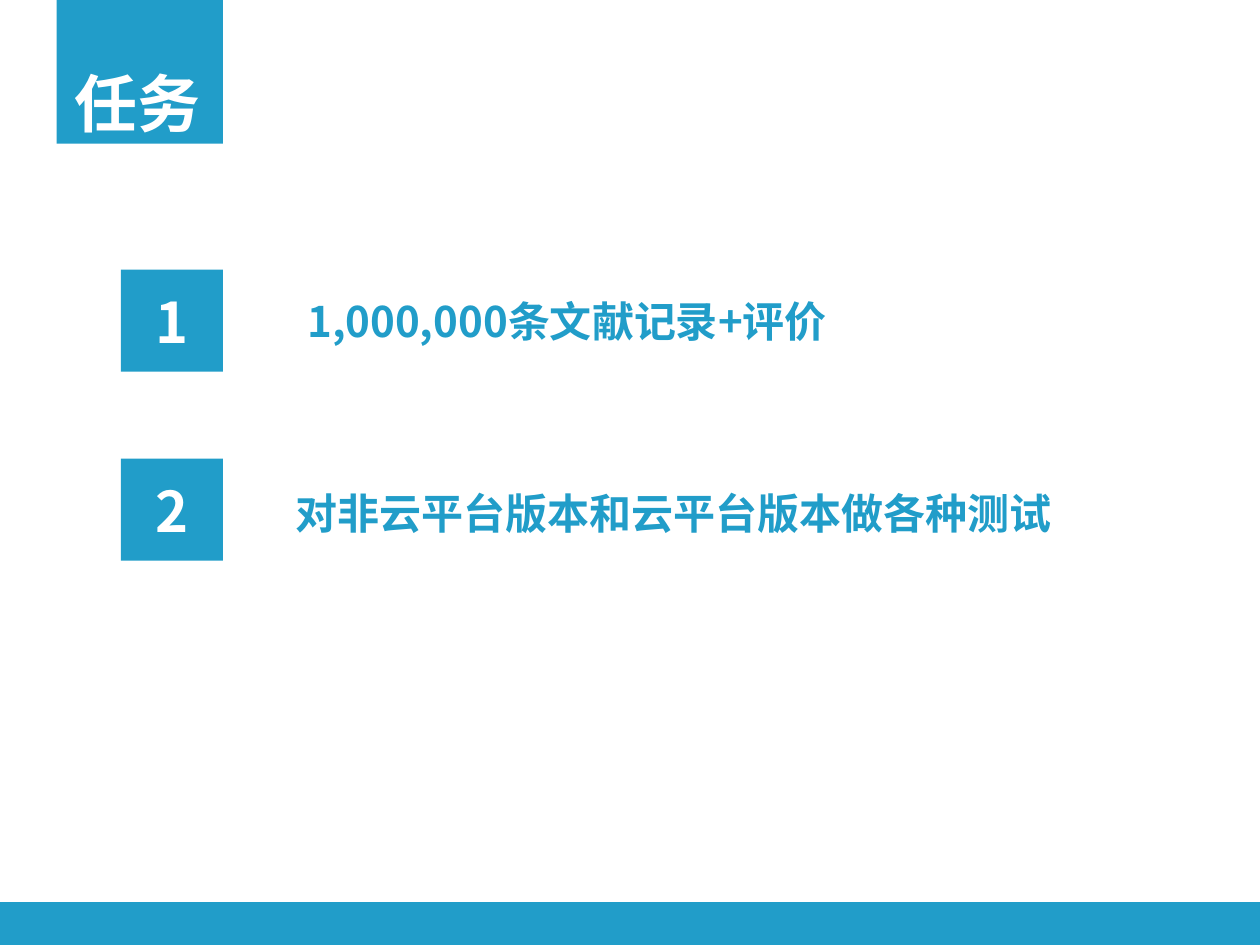
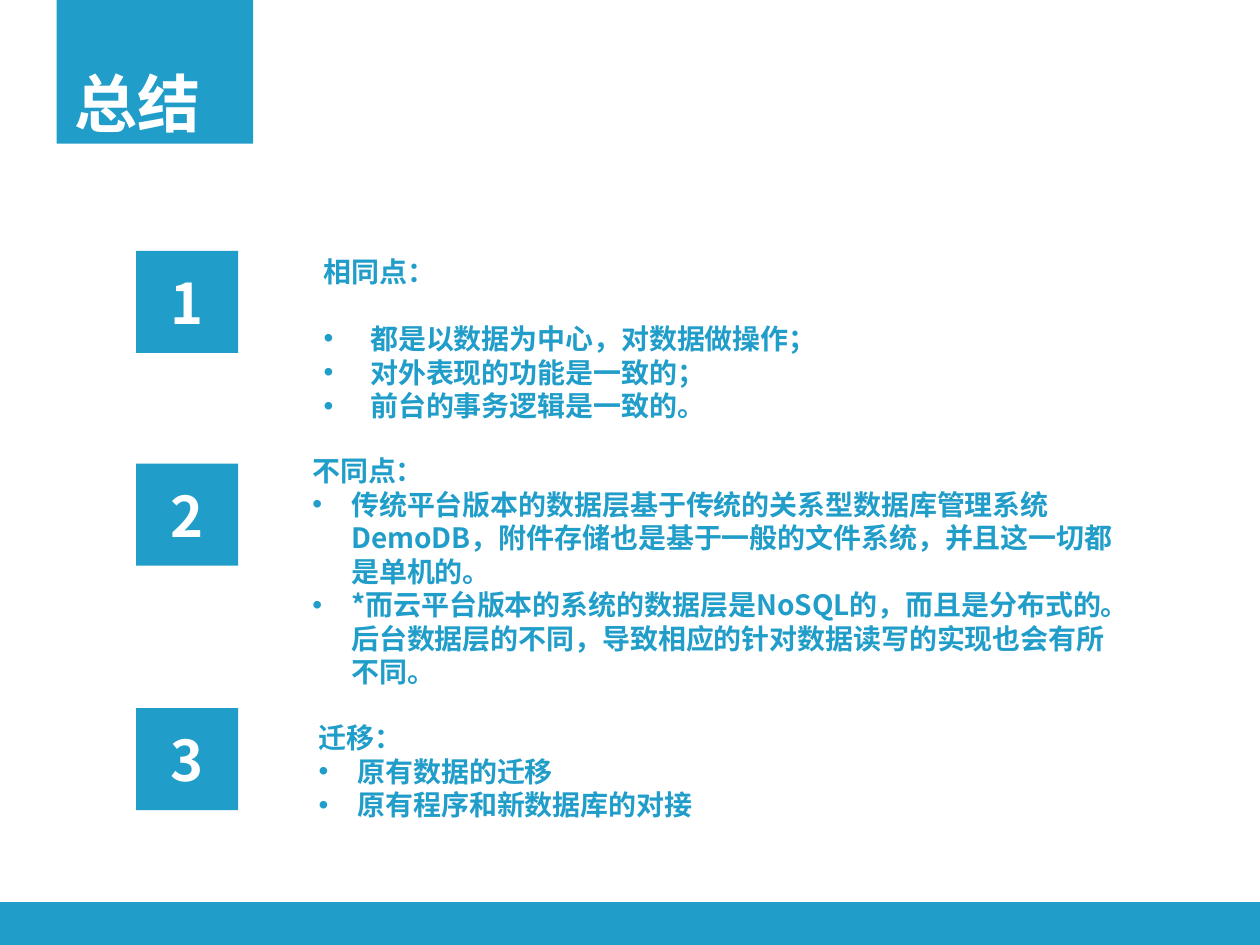
from dataclasses import dataclass
from typing import Any

from lxml import etree
from pptx import Presentation
from pptx.dml.color import RGBColor
from pptx.enum.shapes import MSO_SHAPE
from pptx.enum.text import MSO_ANCHOR, MSO_AUTO_SIZE, PP_ALIGN
from pptx.oxml.ns import qn
from pptx.util import Inches, Pt

BLUE = RGBColor(0x21, 0x9D, 0xC9)
WHITE = RGBColor(0xFF, 0xFF, 0xFF)
FONT = "Noto Sans CJK SC"
RECTANGLE = MSO_SHAPE.RECTANGLE
TOP, MIDDLE = MSO_ANCHOR.TOP, MSO_ANCHOR.MIDDLE
LEFT, CENTER = PP_ALIGN.LEFT, PP_ALIGN.CENTER
NO_AUTOFIT = MSO_AUTO_SIZE.NONE

SLIDE_WIDTH, SLIDE_HEIGHT = Inches(10), Inches(7.5)
COLUMNS, ROWS = 100, 75
COLUMN, ROW = SLIDE_WIDTH / COLUMNS, SLIDE_HEIGHT / ROWS

BADGE_SIDE = 8.1
FOOTER_TOP = 71.6
TAB_LEFT, TAB_HEIGHT = 4.5, 11.4
TITLE_INSETS = {
    "margin_left": round(1.4 * COLUMN),
    "margin_top": round(5.1 * ROW),
    "margin_right": 0,
    "margin_bottom": 0,
}
BULLET_HANG = 3.1


@dataclass(frozen=True)
class Area:
    column: float
    row: float
    columns: float
    rows: float

    def frame(self) -> dict[str, int]:
        return {
            "left": round(self.column * COLUMN),
            "top": round(self.row * ROW),
            "width": round(self.columns * COLUMN),
            "height": round(self.rows * ROW),
        }


@dataclass(frozen=True)
class Point:
    badge_row: float
    area: Area
    heading: str
    details: tuple[str, ...] = ()
    hang: float = BULLET_HANG
    heading_gap: float = 0


@dataclass(frozen=True)
class Topic:
    title: str
    tab_columns: float
    badge_column: float
    text_size: int
    points: tuple[Point, ...]


TOPICS = (
    Topic("任务", 13.2, 9.6, 24, (
        Point(21.4, Area(23.4, 23, 65.2, 5), "1,000,000条文献记录+评价"),
        Point(36.4, Area(22.5, 38.2, 69.7, 5), "对非云平台版本和云平台版本做各种测试"),
    )),
    Topic("总结", 15.6, 10.8, 16, (
        Point(19.9, Area(24.7, 19.7, 60.8, 14.5), "相同点：", (
            "都是以数据为中心，对数据做操作；",
            "对外表现的功能是一致的；",
            "前台的事务逻辑是一致的。",
        ), hang=3.7, heading_gap=19.2),
        Point(36.8, Area(23.8, 35.5, 66.2, 19.9), "不同点：", (
            "传统平台版本的数据层基于传统的关系型数据库管理系统"
            "DemoDB，附件存储也是基于一般的文件系统，并且这一切都是单机的。",
            "*而云平台版本的系统的数据层是NoSQL的，而且是分布式的。"
            "后台数据层的不同，导致相应的针对数据读写的实现也会有所不同。",
        )),
        Point(56.2, Area(24.3, 56.7, 63.6, 9.4), "迁移：", (
            "原有数据的迁移",
            "原有程序和新数据库的对接",
        )),
    )),
)


def apply(target: Any, values: dict[str, Any]) -> None:
    for name, value in values.items():
        setattr(target, name, value)


def write(paragraph: Any, words: str, size: int, color: RGBColor,
          alignment: Any = LEFT) -> None:
    paragraph.alignment = alignment
    run = paragraph.add_run()
    run.text = words
    apply(run.font, {"name": FONT, "size": Pt(size), "bold": True})
    run.font.color.rgb = color
    east_asian = etree.SubElement(run.font._element, qn("a:ea"))
    east_asian.set("typeface", FONT)


def add_bullet(paragraph: Any, hang: float) -> None:
    properties = paragraph._p.get_or_add_pPr()
    indent = round(hang * COLUMN)
    properties.set("marL", str(indent))
    properties.set("indent", str(-indent))
    etree.SubElement(properties, qn("a:buFont")).set("typeface", "Arial")
    etree.SubElement(properties, qn("a:buChar")).set("char", "•")


def paint(shape: Any) -> None:
    shape.fill.solid()
    shape.fill.fore_color.rgb = BLUE
    shape.line.fill.background()


def add_block(slide: Any, area: Area) -> Any:
    block = slide.shapes.add_shape(RECTANGLE, **area.frame())
    block.shadow.inherit = False
    paint(block)
    return block


def add_badge(slide: Any, number: int, column: float, row: float) -> None:
    badge = add_block(slide, Area(column, row, BADGE_SIDE, BADGE_SIDE))
    badge.text_frame.vertical_anchor = MIDDLE
    write(badge.text_frame.paragraphs[0], str(number), 32, WHITE, CENTER)


def add_point_text(slide: Any, point: Point, size: int) -> None:
    frame = slide.shapes.add_textbox(**point.area.frame()).text_frame
    frame.word_wrap = True
    heading = frame.paragraphs[0]
    write(heading, point.heading, size, BLUE)
    if point.heading_gap:
        heading.space_after = Pt(point.heading_gap)
    for detail in point.details:
        paragraph = frame.add_paragraph()
        write(paragraph, detail, size, BLUE)
        add_bullet(paragraph, point.hang)


def set_title(slide: Any, topic: Topic) -> None:
    title = slide.shapes.title
    apply(title, Area(TAB_LEFT, 0, topic.tab_columns, TAB_HEIGHT).frame())
    paint(title)
    apply(title.text_frame, {
        "auto_size": NO_AUTOFIT,
        "word_wrap": True,
        "vertical_anchor": TOP,
        **TITLE_INSETS,
    })
    write(title.text_frame.paragraphs[0], topic.title, 36, WHITE)


def add_topic(presentation: Any, topic: Topic) -> None:
    slide = presentation.slides.add_slide(presentation.slide_layouts[5])
    set_title(slide, topic)
    add_block(slide, Area(0, FOOTER_TOP, COLUMNS, ROWS - FOOTER_TOP))
    for number, point in enumerate(topic.points, start=1):
        add_badge(slide, number, topic.badge_column, point.badge_row)
        add_point_text(slide, point, topic.text_size)


def main() -> None:
    presentation = Presentation()
    apply(presentation, {"slide_width": SLIDE_WIDTH, "slide_height": SLIDE_HEIGHT})
    for topic in TOPICS:
        add_topic(presentation, topic)
    presentation.save("out.pptx")


if __name__ == "__main__":
    main()
